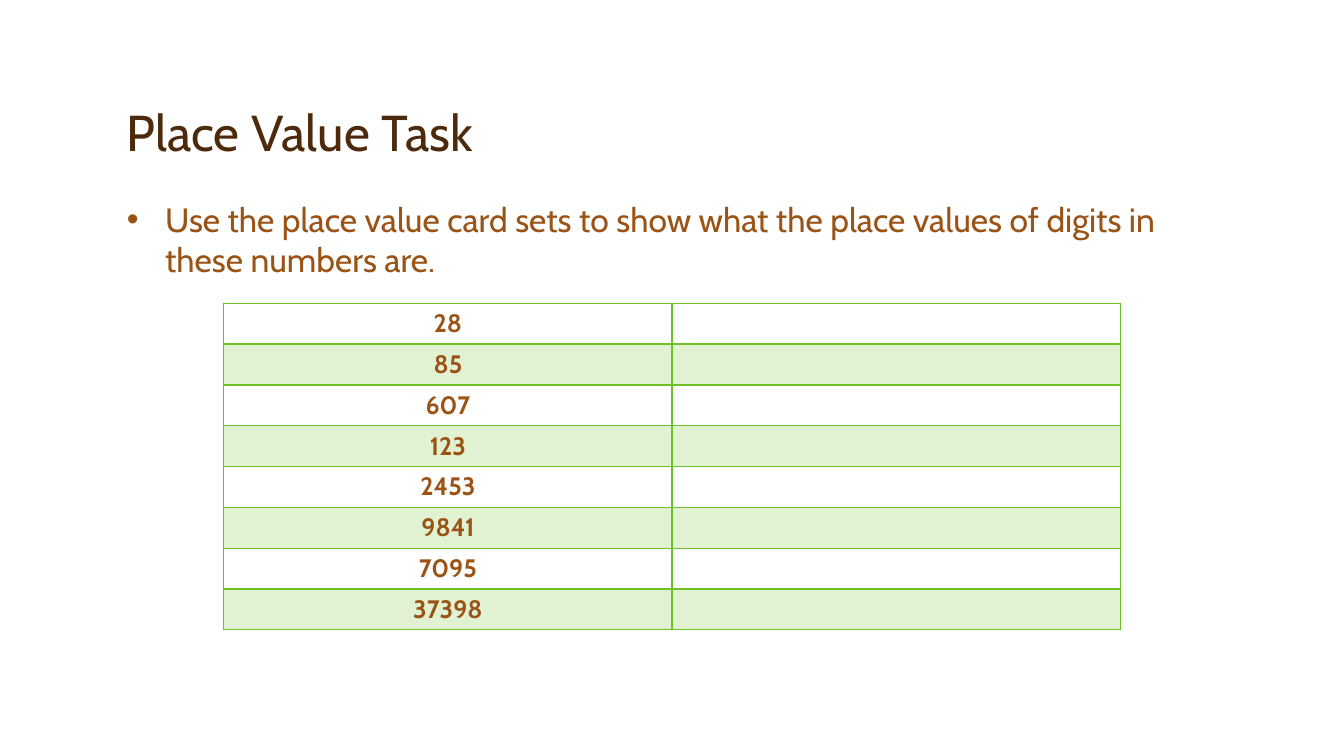
from lxml import etree
from pptx import Presentation
from pptx.dml.color import RGBColor
from pptx.enum.text import MSO_ANCHOR, PP_ALIGN
from pptx.oxml.ns import qn
from pptx.util import Inches, Pt

COLOURS = {"title": "4D2A0B", "text": "9A5315", "green": "6DC025"}
FONT = "Cabin"
NUMBERS = ["28", "85", "607", "123", "2453", "9841", "7095", "37398"]


def write(para, text, size, colour, bold=False, align=PP_ALIGN.LEFT):
    para.alignment = align
    span = para.add_run()
    span.text = text
    span.font.name = FONT
    span.font.size = Pt(size)
    span.font.bold = bold
    span.font.color.rgb = RGBColor.from_string(COLOURS[colour])


def add_text_frame(page, left, top, width, height, anchor):
    box = page.shapes.add_textbox(Inches(left), Inches(top), Inches(width), Inches(height))
    frame = box.text_frame
    frame.word_wrap = True
    frame.vertical_anchor = anchor
    return frame


def add_title(page, left, top, width, height):
    para = add_text_frame(page, left, top, width, height, MSO_ANCHOR.BOTTOM).paragraphs[0]
    para.line_spacing = 0.9
    write(para, "Place Value Task", size=36, colour="title")


def add_instruction(page, left, top, width, height):
    para = add_text_frame(page, left, top, width, height, MSO_ANCHOR.TOP).paragraphs[0]
    properties = para._p.get_or_add_pPr()
    properties.set("marL", str(Inches(0.38)))
    properties.set("indent", str(Inches(-0.38)))
    etree.SubElement(properties, qn("a:buFont")).set("typeface", "Arial")
    etree.SubElement(properties, qn("a:buChar")).set("char", "•")
    write(
        para,
        "Use the place value card sets to show what the place values of digits in these numbers are.",
        size=24,
        colour="text",
    )


def add_border(cell, side, points):
    line = etree.SubElement(cell._tc.get_or_add_tcPr(), qn(f"a:ln{side}"), w=str(Pt(points)))
    fill = etree.SubElement(line, qn("a:solidFill"))
    etree.SubElement(fill, qn("a:srgbClr"), val=COLOURS["green"])


def fill_cell(cell, shaded):
    """Give the cell a pale green tint, or no fill."""
    if not shaded:
        cell.fill.background()
        return
    cell.fill.solid()
    cell.fill.fore_color.rgb = RGBColor.from_string(COLOURS["green"])
    colour = cell._tc.tcPr.find(qn("a:solidFill")).find(qn("a:srgbClr"))
    etree.SubElement(colour, qn("a:alpha"), val="20000")


def add_number_table(page, left, top, width, height):
    table = page.shapes.add_table(
        len(NUMBERS), 2, Inches(left), Inches(top), Inches(width), Inches(height)
    ).table
    table.first_row = False
    table.horz_banding = False
    for row, number in enumerate(NUMBERS):
        write(table.cell(row, 0).text_frame.paragraphs[0], number,
              size=18, colour="text", bold=True, align=PP_ALIGN.CENTER)
        for cell in table.rows[row].cells:
            add_border(cell, "L", 1)
            add_border(cell, "R", 1)
            add_border(cell, "T", 2 if row == 1 else 1)
            add_border(cell, "B", 2 if row == 0 else 1)
            fill_cell(cell, shaded=row % 2 == 1)


def main():
    deck = Presentation()
    deck.slide_width = Inches(13.33)
    deck.slide_height = Inches(7.5)
    page = deck.slides.add_slide(deck.slide_layouts[6])
    add_title(page, 1.16, 0.33, 11, 1.33)
    add_instruction(page, 1.16, 1.92, 11, 4.62)
    add_number_table(page, 2.22, 3.01, 8.89, 3.24)
    deck.save("out.pptx")


if __name__ == "__main__":
    main()
